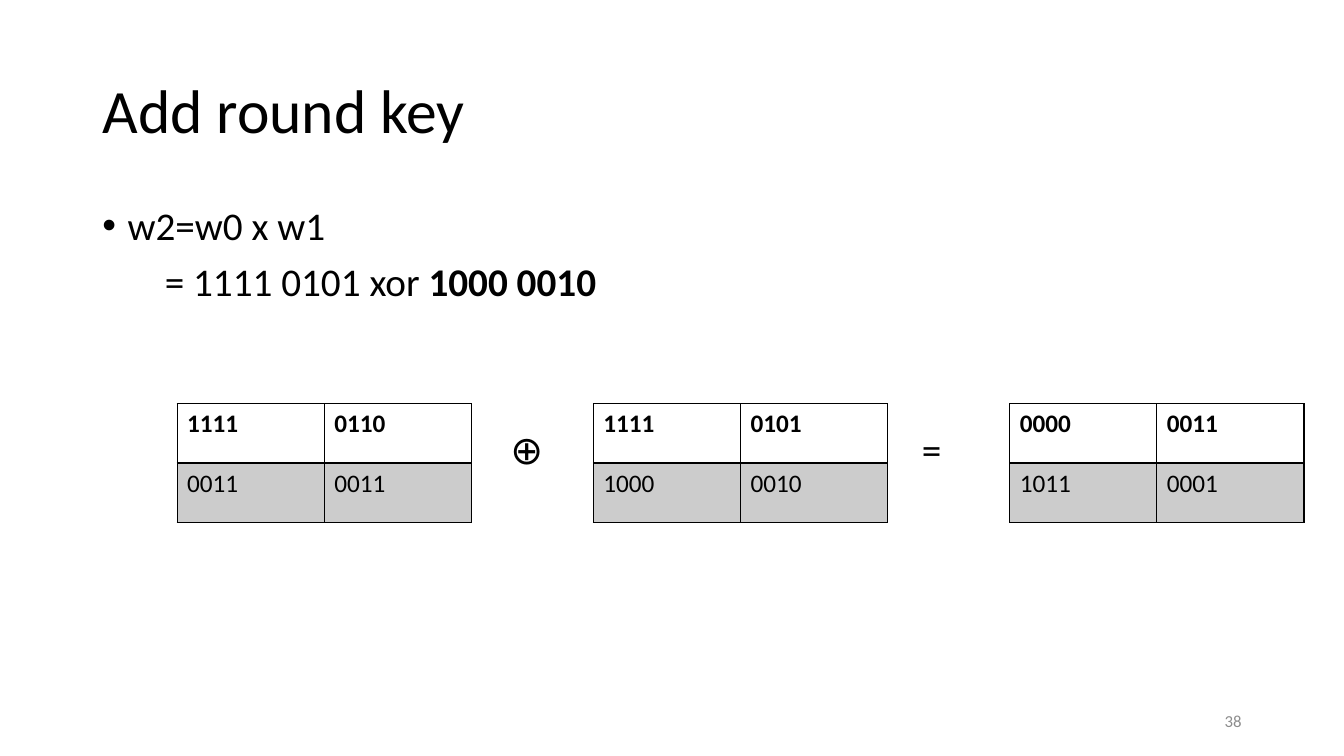
from pptx import Presentation
from pptx.dml.color import RGBColor
from pptx.enum import text as t
from pptx.oxml import parse_xml
from pptx.oxml.ns import nsdecls
from pptx.util import Pt

TITLE = "Add round key"
LINES = [
    {"runs": [("w2=w0 x w1", False)], "left": 18, "hang": -18, "gap": 0, "mark": "•"},
    {"runs": [("= 1111 0101 xor ", False), ("1000 0010", True)],
     "left": 44.5, "gap": 10},
]
SIGNS = [("⊕", 357.5), ("=", 651.5)]
GRIDS = [
    [("1111", "0110"), ("0011", "0011")],
    [("1111", "0101"), ("1000", "0010")],
    [("0000", "0011"), ("1011", "0001")],
]
PAGE = "38"
HUES = {"ink": "000000", "band": "CCCCCC", "page": "8C8C8C", "paper": "FFFFFF"}
FONT = "Calibri"
LEFT, TOP, STEP = 126.5, 288.4, 297.36
WIDE, HIGH = 105.12, 42.48


def hue(name):
    return RGBColor.from_string(HUES[name])


def write(para, words, size, bold=False, ink="ink"):
    run = para.add_run()
    run.text = words
    font = run.font
    font.name, font.size, font.bold = FONT, Pt(size), bold
    font.color.rgb = hue(ink)


def place(shape, x, y, w, h):
    shape.left, shape.top, shape.width, shape.height = Pt(x), Pt(y), Pt(w), Pt(h)


def frame(shape, anchor):
    box = shape.text_frame
    box.word_wrap = True
    box.auto_size = t.MSO_AUTO_SIZE.NONE
    box.vertical_anchor = anchor
    return box


def add_line(para, line):
    props = para._p.get_or_add_pPr()
    props.set("marL", str(Pt(line["left"])))
    props.set("indent", str(Pt(line.get("hang", 0))))
    mark = line.get("mark")
    props.append(parse_xml(
        f'<a:buChar {nsdecls("a")} char="{mark}"/>' if mark
        else f'<a:buNone {nsdecls("a")}/>'))
    para.line_spacing = 0.9
    para.space_before = Pt(line["gap"])
    for words, bold in line["runs"]:
        write(para, words, 28, bold)


def add_sign(slide, sign, x):
    shape = slide.shapes.add_textbox(Pt(x), Pt(304), Pt(48), Pt(40))
    para = frame(shape, t.MSO_ANCHOR.TOP).paragraphs[0]
    para.line_spacing = 0.9
    write(para, sign, 28)


def edge(cell, side, width):
    cell._tc.get_or_add_tcPr().append(parse_xml(
        f'<a:ln{side} {nsdecls("a")} w="{Pt(width)}"><a:solidFill>'
        f'<a:srgbClr val="{HUES["ink"]}"/></a:solidFill></a:ln{side}>'))


def add_grid(slide, rows, x):
    grid = slide.shapes.add_table(
        2, 2, Pt(x), Pt(TOP), Pt(2 * WIDE), Pt(2 * HIGH)).table
    grid.first_row = grid.horz_banding = False
    for i, row in enumerate(rows):
        grid.columns[i].width, grid.rows[i].height = Pt(WIDE), Pt(HIGH)
        for j, bits in enumerate(row):
            cell = grid.cell(i, j)
            for side, width in zip("LRTB", (1, 1, 1 + i, 2 - i)):
                edge(cell, side, width)
            cell.fill.solid()
            cell.fill.fore_color.rgb = hue("band" if i else "paper")
            write(cell.text_frame.paragraphs[0], bits, 18, bold=i == 0)


def main():
    deck = Presentation()
    deck.slide_width, deck.slide_height = Pt(960), Pt(540)
    slide = deck.slides.add_slide(deck.slide_layouts[1])

    title = slide.shapes.title
    place(title, 66, 28.8, 828, 104.4)
    para = frame(title, t.MSO_ANCHOR.MIDDLE).paragraphs[0]
    para.alignment, para.line_spacing = t.PP_ALIGN.LEFT, 0.9
    write(para, TITLE, 44)

    body = slide.placeholders[1]
    place(body, 66, 144, 828, 342.72)
    box = frame(body, t.MSO_ANCHOR.TOP)
    for i, line in enumerate(LINES):
        add_line(box.add_paragraph() if i else box.paragraphs[0], line)

    page = slide.shapes.add_textbox(Pt(678), Pt(500.4), Pt(216), Pt(28.8))
    para = frame(page, t.MSO_ANCHOR.MIDDLE).paragraphs[0]
    para.alignment = t.PP_ALIGN.RIGHT
    write(para, PAGE, 12, ink="page")

    for i, rows in enumerate(GRIDS):
        add_grid(slide, rows, LEFT + i * STEP)
    for sign, x in SIGNS:
        add_sign(slide, sign, x)
    deck.save("out.pptx")


if __name__ == "__main__":
    main()
